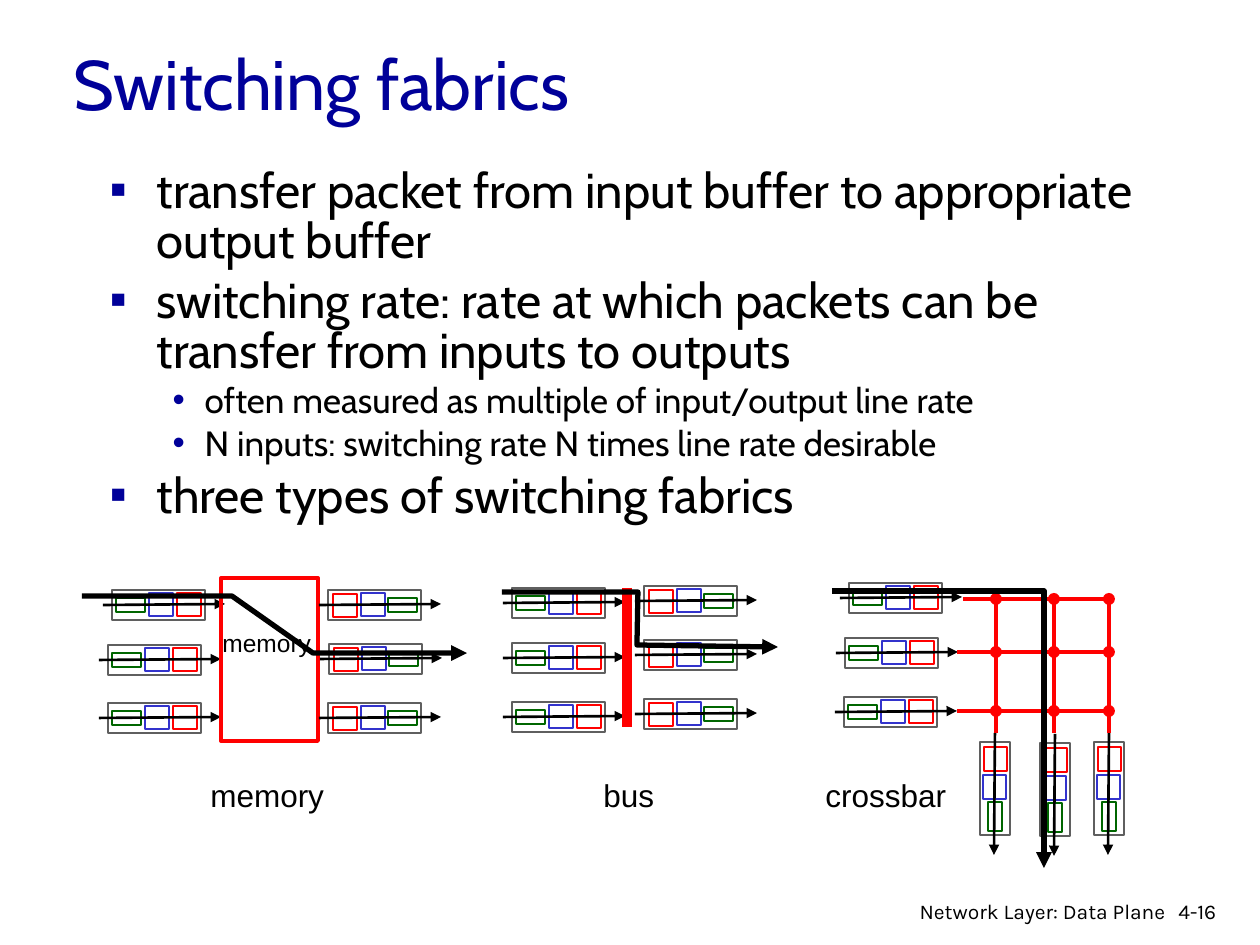
from dataclasses import dataclass
from itertools import product

from lxml import etree
from pptx import Presentation
from pptx.dml.color import RGBColor
from pptx.enum.shapes import MSO_CONNECTOR, MSO_SHAPE
from pptx.enum.text import MSO_ANCHOR, MSO_AUTO_SIZE, PP_ALIGN
from pptx.oxml.ns import qn
from pptx.util import Emu, Pt

RECTANGLE, OVAL = MSO_SHAPE.RECTANGLE, MSO_SHAPE.OVAL
STRAIGHT = MSO_CONNECTOR.STRAIGHT
LEFT, RIGHT = PP_ALIGN.LEFT, PP_ALIGN.RIGHT
MIDDLE = MSO_ANCHOR.MIDDLE
FIXED, GROW = MSO_AUTO_SIZE.NONE, MSO_AUTO_SIZE.SHAPE_TO_FIT_TEXT
SCALE = 914400 / 126  # EMU in one px
COLORS = {"navy": "000099", "black": "000000", "white": "FFFFFF", "gray": "5F5F5F",
          "green": "006600", "blue": "3333CC", "red": "FF0000"}


@dataclass
class Box:
    left: int
    top: int
    width: int
    height: int

    def emu(self) -> list[Emu]:
        return [px(n) for n in (self.left, self.top, self.width, self.height)]


@dataclass
class Label:
    text: str
    box: Box
    size: int
    font: str = "Arial"
    align: int = LEFT
    wrap: bool = False


@dataclass
class Bullet:
    text: str
    level: int = 0


@dataclass
class Style:
    """Look of one list level, with the indents in px."""
    size: int
    sign: str
    margin: int
    hanging: int


# Frame, then packets, each relative to the corner of the frame
FRAME = ("gray", Box(0, 0, 93, 30))
INPUT_QUEUE = [FRAME, ("green", Box(4, 8, 29, 14)), ("blue", Box(37, 3, 24, 23)),
               ("red", Box(65, 3, 24, 23))]
OUTPUT_QUEUE = [FRAME, ("green", Box(60, 8, 29, 14)), ("blue", Box(33, 3, 24, 23)),
                ("red", Box(5, 4, 24, 23))]
QUEUE_ARROW = ((-9, 15), (113, 14))

BULLETS = [
    Bullet("transfer packet from input buffer to appropriate output buffer"),
    Bullet("switching rate: rate at which packets can be transfer from inputs to outputs"),
    Bullet("often measured as multiple of input/output line rate", 1),
    Bullet("N inputs: switching rate N times line rate desirable", 1),
    Bullet("three types of switching fabrics"),
]
LEVELS = [Style(28, "▪", 47, 47), Style(20, "•", 95, 32)]

MEMORY_INPUTS = [(112, 590), (108, 645), (108, 703)]
MEMORY_OUTPUTS = [(328, 590), (329, 644), (328, 703)]
BUS_INPUTS = [(512, 588), (512, 643), (512, 702)]
BUS_OUTPUTS = [(644, 586), (644, 640), (644, 699)]
CROSSBAR_INPUTS = [(849, 583), (845, 638), (844, 697)]
CROSSBAR_OUTPUTS = [(1094, 742), (1040, 743), (980, 742)]
CROSSBAR_ROWS = [(963, 599), (957, 652), (957, 711)]  # start x, y
CROSSBAR_COLUMNS = [996, 1054, 1109]
DOT = 12

ROUTES = [
    [(82, 596), (232, 596), (313, 653), (467, 653)],
    [(502, 592), (638, 592), (637, 645), (778, 647)],
    [(832, 591), (1044, 591), (1044, 868)],
]
LABELS = [
    Label("memory", Box(198, 770, 139, 50), 18),
    Label("memory", Box(210, 622, 118, 42), 14),
    Label("bus", Box(591, 770, 76, 50), 18),
    Label("crossbar", Box(813, 770, 146, 50), 18),
    Label("4-16", Box(1166, 892, 77, 38), 12, "Karla", wrap=True),
    Label("Network Layer: Data Plane", Box(878, 892, 300, 33), 12, "Karla", RIGHT, True),
]


def px(length: float) -> Emu:
    return Emu(round(length * SCALE))


def color(name: str) -> RGBColor:
    return RGBColor.from_string(COLORS[name])


def set_line(shape, name: str, width: float, arrow: bool = False) -> None:
    shape.line.color.rgb = color(name)
    shape.line.width = Pt(width)
    if arrow:
        etree.SubElement(shape.line._get_or_add_ln(), qn("a:tailEnd"), type="triangle")


def add_line(shapes, start, end, name: str, width: float, arrow: bool = False) -> None:
    line = shapes.add_connector(STRAIGHT, *(px(n) for n in (*start, *end)))
    set_line(line, name, width, arrow)
    etree.SubElement(line._element.spPr, qn("a:effectLst"))


def add_box(shapes, box: Box, outline: str, width: float, filled: bool = True) -> None:
    shape = shapes.add_shape(RECTANGLE, *box.emu())
    shape.shadow.inherit = False
    if filled:
        shape.fill.solid()
        shape.fill.fore_color.rgb = color("white")
    else:
        shape.fill.background()
    set_line(shape, outline, width)


def add_dot(shapes, x: int, y: int) -> None:
    dot = shapes.add_shape(OVAL, *Box(x - DOT // 2, y - DOT // 2, DOT, DOT).emu())
    dot.shadow.inherit = False
    dot.fill.solid()
    dot.fill.fore_color.rgb = color("red")
    dot.line.fill.background()


def add_queues(shapes, corners, parts, downward: bool = False) -> None:
    """Draw one queue per corner; downward swaps the axes of each."""
    turn = -1 if downward else 1
    for left, top in corners:
        group = shapes.add_group_shape().shapes
        for name, part in parts:
            x, y = (part.left, part.top)[::turn]
            size = (part.width, part.height)[::turn]
            add_box(group, Box(left + x, top + y, *size), name, 1.5)
        start, end = ((left + x, top + y) for x, y in (p[::turn] for p in QUEUE_ARROW))
        add_line(group, start, end, "black", 1.5, arrow=True)


def add_route(shapes, points) -> None:
    builder = shapes.build_freeform(*points[0], scale=SCALE)
    builder.add_line_segments(points[1:], close=False)
    route = builder.convert_to_shape()
    route.shadow.inherit = False
    route.fill.background()
    set_line(route, "black", 3, arrow=True)


def format_text(para, size: int, font: str, name: str) -> None:
    for span in para.runs:
        span.font.size = Pt(size)
        span.font.name = font
        span.font.color.rgb = color(name)


def add_label(shapes, label: Label) -> None:
    frame = shapes.add_textbox(*label.box.emu()).text_frame
    frame.word_wrap = label.wrap
    frame.auto_size = FIXED if label.wrap else GROW
    frame.text = label.text
    para = frame.paragraphs[0]
    para.alignment = label.align
    format_text(para, label.size, label.font, "black")


def place(shape, box: Box) -> None:
    shape.left, shape.top, shape.width, shape.height = box.emu()
    shape.text_frame.auto_size = FIXED


def fill_list(frame) -> None:
    frame.text = "\n".join(bullet.text for bullet in BULLETS)
    for para, bullet in zip(frame.paragraphs, BULLETS):
        style = LEVELS[bullet.level]
        para.level = bullet.level
        para.line_spacing = 0.85
        format_text(para, style.size, "Cabin", "black")
        props = para._p.get_or_add_pPr()
        props.set("marL", str(px(style.margin)))
        props.set("indent", str(px(-style.hanging)))
        tint = etree.SubElement(props, qn("a:buClr"))
        etree.SubElement(tint, qn("a:srgbClr"), val=COLORS["navy"])
        etree.SubElement(props, qn("a:buChar"), char=style.sign)


def main() -> None:
    deck = Presentation()
    deck.slide_width, deck.slide_height = px(1260), px(945)
    page = deck.slides.add_slide(deck.slide_layouts[1])
    shapes = page.shapes

    # Title and list
    title, body = page.placeholders
    place(title, Box(61, 35, 1071, 94))
    title.text_frame.text = "Switching fabrics"
    title.text_frame.vertical_anchor = MIDDLE
    title.text_frame.paragraphs[0].alignment = LEFT
    format_text(title.text_frame.paragraphs[0], 40, "Cabin", "navy")
    place(body, Box(97, 162, 1071, 640))
    fill_list(body.text_frame)

    # Memory
    add_queues(shapes, MEMORY_INPUTS, INPUT_QUEUE)
    add_box(shapes, Box(221, 578, 97, 163), "red", 2.25, filled=False)
    add_queues(shapes, MEMORY_OUTPUTS, OUTPUT_QUEUE)

    # Bus
    add_queues(shapes, BUS_INPUTS, INPUT_QUEUE)
    add_line(shapes, (627, 588), (627, 727), "red", 6)
    add_queues(shapes, BUS_OUTPUTS, OUTPUT_QUEUE)

    # Crossbar
    add_queues(shapes, CROSSBAR_INPUTS, INPUT_QUEUE)
    add_queues(shapes, CROSSBAR_OUTPUTS, OUTPUT_QUEUE, downward=True)
    for x, y in CROSSBAR_ROWS:
        add_line(shapes, (x, y), (CROSSBAR_COLUMNS[-1], y), "red", 2.25)
    for x in CROSSBAR_COLUMNS:
        add_line(shapes, (x, 733), (x, CROSSBAR_ROWS[0][1]), "red", 2.25)
    for x, (_, y) in product(CROSSBAR_COLUMNS, CROSSBAR_ROWS):
        add_dot(shapes, x, y)

    # Packet routes, captions and footer
    for points in ROUTES:
        add_route(shapes, points)
    for label in LABELS:
        add_label(shapes, label)
    deck.save("out.pptx")


if __name__ == "__main__":
    main()
